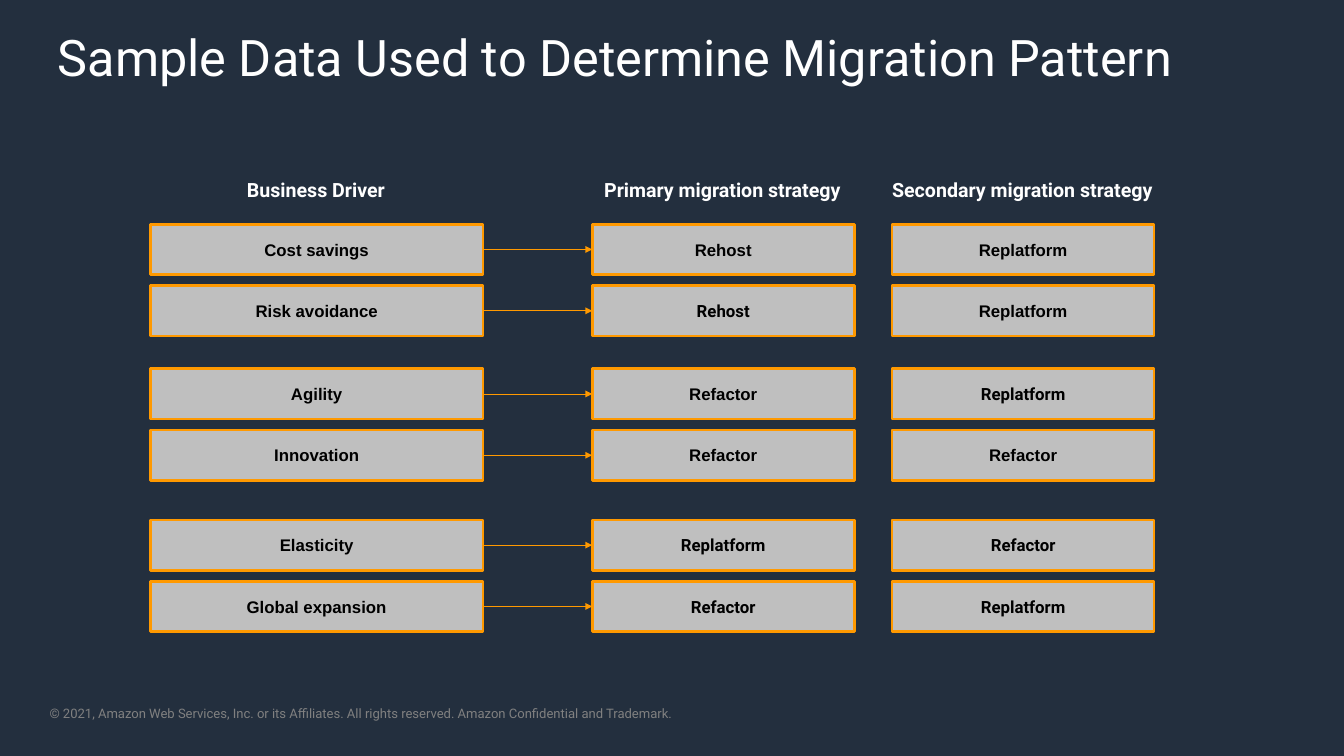
import pptx
import pptx.util
import pptx.dml.color
import pptx.enum.shapes
import pptx.enum.text
import pptx.oxml
import pptx.oxml.ns

COLS, ROWS = 16, 9
HUES = {"back": "232F3E", "box": "BFBFBF", "edge": "FF9900",
        "ink": "000000", "head": "FFFFFF", "foot": "808080"}
ALIGN = pptx.enum.text.PP_ALIGN
ANCHOR = pptx.enum.text.MSO_ANCHOR


class Deck:
    """Draws on one slide; lengths are columns and rows of a 16 by 9 grid."""

    def __init__(self):
        self.prs = pptx.Presentation()
        self.prs.slide_width = pptx.util.Inches(16)
        self.prs.slide_height = pptx.util.Inches(9)
        self.slide = self.prs.slides.add_slide(self.prs.slide_layouts[6])
        self.paint(self.slide.background.fill, "back")

    def hue(self, name):
        return pptx.dml.color.RGBColor.from_string(HUES[name])

    def paint(self, fill, name):
        fill.solid()
        fill.fore_color.rgb = self.hue(name)

    def stroke(self, line, width):
        self.paint(line.fill, "edge")
        line.width = pptx.util.Pt(width)

    def place(self, left, top, width, height):
        """Turn grid units into slide lengths."""
        col = self.prs.slide_width / COLS
        row = self.prs.slide_height / ROWS
        return (round(left * col), round(top * row),
                round(width * col), round(height * row))

    def letter(self, shape, text, size, hue, font="Roboto", bold=False,
               align=ALIGN.LEFT, anchor=ANCHOR.TOP, inset=None, wrap=True):
        """Put styled text into a shape."""
        frame = shape.text_frame
        frame.text = text
        frame.word_wrap = wrap
        frame.vertical_anchor = anchor
        if inset is not None:
            gap = pptx.util.Inches(inset)
            frame.margin_left = frame.margin_right = gap
            frame.margin_top = frame.margin_bottom = gap
        para = frame.paragraphs[0]
        para.alignment = align
        style = para.runs[0].font
        style.name, style.bold = font, bold
        style.size = pptx.util.Pt(size)
        style.color.rgb = self.hue(hue)

    def label(self, area, text, size, hue, **style):
        shape = self.slide.shapes.add_textbox(*self.place(*area))
        self.letter(shape, text, size, hue, **style)

    def box(self, area, text, font):
        kind = pptx.enum.shapes.MSO_SHAPE.RECTANGLE
        shape = self.slide.shapes.add_shape(kind, *self.place(*area))
        shape.shadow.inherit = False
        self.paint(shape.fill, "box")
        self.stroke(shape.line, 2.25)
        self.letter(shape, text, 14.4, "ink", font=font, bold=True,
                    align=ALIGN.CENTER, anchor=ANCHOR.MIDDLE, inset=0.04)
        return shape

    def arrow(self, start, end):
        """Join the right side of start to the left side of end."""
        kind = pptx.enum.shapes.MSO_CONNECTOR.STRAIGHT
        link = self.slide.shapes.add_connector(kind, 0, 0, 0, 0)
        link.begin_connect(start, 3)
        link.end_connect(end, 1)
        self.stroke(link.line, 0.75)
        make, name = pptx.oxml.parse_xml, pptx.oxml.ns.nsdecls("a")
        props = link.element.spPr
        props.find(pptx.oxml.ns.qn("a:ln")).append(
            make(f'<a:tailEnd {name} type="triangle"/>'))
        props.append(make(f"<a:effectLst {name}/>"))


# left, width, heading, heading width
FIELDS = [(1.79, 3.96, "Business Driver", 1.89),
          (7.05, 3.12, "Primary migration strategy", 3.2),
          (10.62, 3.12, "Secondary migration strategy", 3.48)]
A, R = "Arial", "Roboto"
# top of each group, then its rows with the font of each cell
GROUPS = [
    (2.67, [(("Cost savings", A), ("Rehost", A), ("Replatform", A)),
            (("Risk avoidance", A), ("Rehost", R), ("Replatform", A))]),
    (4.39, [(("Agility", A), ("Refactor", A), ("Replatform", R)),
            (("Innovation", A), ("Refactor", A), ("Refactor", A))]),
    (6.19, [(("Elasticity", A), ("Replatform", R), ("Refactor", R)),
            (("Global expansion", A), ("Refactor", R), ("Replatform", R))]),
]
STEP, TALL = 0.73, 0.6


def main():
    deck = Deck()
    deck.label((0.59, 8.4, 11.17, 0.19),
               "© 2021, Amazon Web Services, Inc. or its Affiliates. "
               "All rights reserved. Amazon Confidential and Trademark.",
               11.2, "foot", inset=0)
    deck.label((0.59, 0.2, 14.36, 0.95),
               "Sample Data Used to Determine Migration Pattern",
               43.2, "head", anchor=ANCHOR.MIDDLE)
    for left, width, text, span in FIELDS:
        deck.label((left + (width - span) / 2 - 0.01, 2.07, span, 0.38),
                   text, 16.8, "head", bold=True, align=ALIGN.CENTER,
                   wrap=False)
    for top, rows in GROUPS:
        for num, row in enumerate(rows):
            driver, first, _ = [
                deck.box((left, top + num * STEP, width, TALL), text, font)
                for (left, width, *_), (text, font) in zip(FIELDS, row)]
            deck.arrow(driver, first)
    deck.prs.save("out.pptx")


if __name__ == "__main__":
    main()
